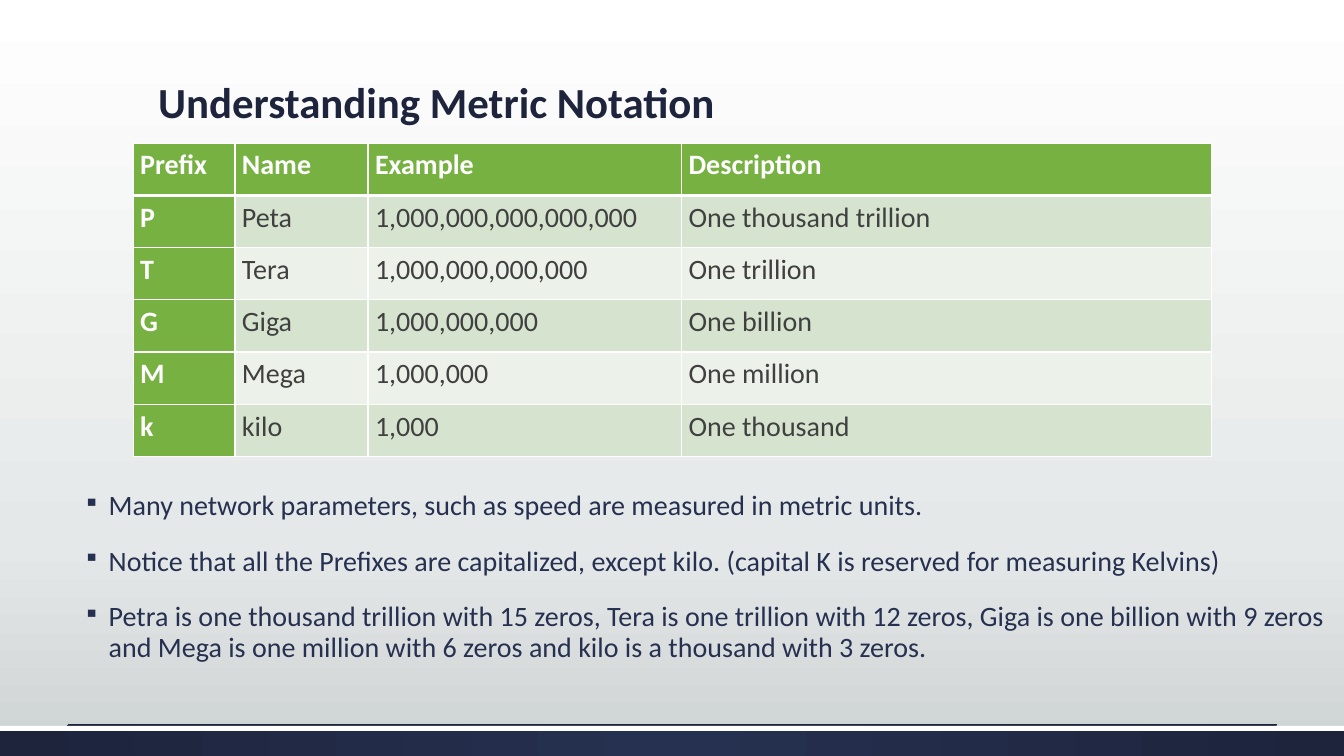
"""Build the metric notation slide."""
from dataclasses import dataclass

from lxml import etree
from pptx import Presentation
from pptx import util as u
from pptx.dml.color import RGBColor
from pptx.enum import shapes, text
from pptx.oxml.ns import qn


@dataclass(frozen=True)
class Theme:
    """Colours and type sizes."""

    font: str = "Calibri"
    title_size: float = 30.6
    text_size: float = 20
    navy: str = "263050"
    dark_navy: str = "1D243C"
    white: str = "FFFFFF"
    green: str = "77B142"
    bands: tuple = ("D6E4CF", "ECF2E9")
    grey: str = "404040"
    backdrop: tuple = ((0, "FFFFFF"), (72, "E5E8E8"), (100, "CDD2D2"))
    footer: tuple = ((0, "263050"), (100, "1D243C"))


def add_node(parent, tag, **attributes):
    """Append a drawing element with the given attributes."""
    return etree.SubElement(parent, qn(f"a:{tag}"), {k: str(v) for k, v in attributes.items()})


class SlideBuilder:
    """Draw styled elements on one slide."""

    def __init__(self, page, theme):
        """Keep the slide and its style."""
        self.page, self.theme = page, theme

    def gradient(self, fill, element, stops, radial=False):
        """Give a fill its gradient stops, downward or from the centre."""
        fill.gradient()
        gradient = element.find(".//" + qn("a:gradFill"))
        for child in list(gradient):
            gradient.remove(child)
        stop_list = add_node(gradient, "gsLst")
        for position, color in stops:
            add_node(add_node(stop_list, "gs", pos=position * 1000), "srgbClr", val=color)
        if radial:
            focus = add_node(gradient, "path", path="circle")
            add_node(focus, "fillToRect", l=50000, t=50000, r=50000, b=50000)
        else:
            add_node(gradient, "lin", ang=5400000, scaled=0)

    def background(self):
        """Shade the whole slide."""
        self.gradient(self.page.background.fill, self.page.element, self.theme.backdrop)

    def bar(self, place, color=None, stops=None):
        """Add a plain bar in one colour or a radial gradient."""
        box = self.page.shapes.add_shape(shapes.MSO_SHAPE.RECTANGLE, *map(u.Inches, place))
        box.shadow.inherit = False
        box.line.fill.background()
        if stops:
            self.gradient(box.fill, box._element.spPr, stops, radial=True)
        else:
            box.fill.solid()
            box.fill.fore_color.rgb = RGBColor.from_string(color)

    def rule(self, left, right, top):
        """Add a thin horizontal line."""
        ends = map(u.Inches, (left, top, right, top))
        line = self.page.shapes.add_connector(shapes.MSO_CONNECTOR.STRAIGHT, *ends)
        line.line.color.rgb = RGBColor.from_string(self.theme.dark_navy)
        line.line.width = u.Pt(0.75)
        add_node(line._element.spPr, "effectLst")

    def span(self, para, words, size, color, bold=False):
        """Add one run of text."""
        span = para.add_run()
        span.text = words
        span.font.name, span.font.size, span.font.bold = self.theme.font, u.Pt(size), bold
        span.font.color.rgb = RGBColor.from_string(color)

    def text_frame(self, place):
        """Add a wrapping text box and return its frame."""
        frame = self.page.shapes.add_textbox(*map(u.Inches, place)).text_frame
        frame.word_wrap = True
        return frame

    def title(self, place, words):
        """Add the slide title, raised from the foot of its box."""
        frame = self.text_frame(place)
        frame.vertical_anchor = text.MSO_ANCHOR.BOTTOM
        frame.margin_bottom = u.Inches(0.52)
        para = frame.paragraphs[0]
        para.line_spacing = 0.9
        self.span(para, words, self.theme.title_size, self.theme.dark_navy, bold=True)

    def bullets(self, place, lines):
        """Add a bulleted list."""
        frame = self.text_frame(place)
        for index, words in enumerate(lines):
            para = frame.add_paragraph() if index else frame.paragraphs[0]
            para.line_spacing, para.space_before = 0.9, u.Pt(18)
            properties = para._p.get_or_add_pPr()
            properties.set("marL", str(u.Inches(0.3)))
            properties.set("indent", str(u.Inches(-0.25)))
            add_node(add_node(properties, "buClr"), "srgbClr", val=self.theme.navy)
            add_node(properties, "buSzPct", val=80000)
            add_node(properties, "buChar", char="▪")
            self.span(para, words, self.theme.text_size, self.theme.navy)

    def cell(self, cell, words, fill, color, bold, top, bottom):
        """Style and fill one table cell."""
        cell.margin_left = cell.margin_right = u.Inches(0.07)
        cell.margin_top = cell.margin_bottom = 0
        properties = cell._tc.get_or_add_tcPr()
        for side, width in (("L", 1), ("R", 1), ("T", top), ("B", bottom)):
            border = add_node(properties, f"ln{side}", w=u.Pt(width))
            add_node(add_node(border, "solidFill"), "srgbClr", val=self.theme.white)
        cell.fill.solid()
        cell.fill.fore_color.rgb = RGBColor.from_string(fill)
        para = cell.text_frame.paragraphs[0]
        para.alignment = text.PP_ALIGN.JUSTIFY
        para.line_spacing, para.space_after = 1.15, u.Pt(10)
        self.span(para, words, self.theme.text_size, color, bold)

    def table(self, place, widths, rows):
        """Add a banded table with a strong first row and column."""
        theme = self.theme
        grid = self.page.shapes.add_table(len(rows), len(widths), *map(u.Inches, place)).table
        for column, width in zip(grid.columns, widths):
            column.width = u.Inches(width)
        for r, row in enumerate(rows):
            for c, words in enumerate(row):
                strong = r == 0 or c == 0
                self.cell(
                    grid.cell(r, c),
                    words,
                    fill=theme.green if strong else theme.bands[(r - 1) % 2],
                    color=theme.white if strong else theme.grey,
                    bold=strong,
                    top=3 if r == 1 else 1,
                    bottom=3 if r == 0 else 1,
                )


PREFIXES = (
    ("Prefix", "Name", "Example", "Description"),
    ("P", "Peta", "1,000,000,000,000,000", "One thousand trillion"),
    ("T", "Tera", "1,000,000,000,000", "One trillion"),
    ("G", "Giga", "1,000,000,000", "One billion"),
    ("M", "Mega", "1,000,000", "One million"),
    ("k", "kilo", "1,000", "One thousand"),
)
NOTES = (
    "Many network parameters, such as speed are measured in metric units.",
    "Notice that all the Prefixes are capitalized, except kilo. "
    "(capital K is reserved for measuring Kelvins)",
    "Petra is one thousand trillion with 15 zeros, Tera is one trillion with 12 zeros, "
    "Giga is one billion with 9 zeros and Mega is one million with 6 zeros "
    "and kilo is a thousand with 3 zeros.",
)


def main():
    """Build and save the deck."""
    deck = Presentation()
    deck.slide_width, deck.slide_height = u.Inches(13.33), u.Inches(7.5)
    theme = Theme()
    slide = SlideBuilder(deck.slides.add_slide(deck.slide_layouts[6]), theme)
    slide.background()
    slide.bar((0, 7.2, 13.33, 0.3), stops=theme.footer)
    slide.bar((0, 7.2, 13.33, 0.05), color=theme.white)
    slide.rule(0.67, 12.67, 7.19)
    slide.title((1.47, 0.44, 10.4, 1.35), "Understanding Metric Notation")
    slide.bullets((0.68, 4.83, 12.66, 2.3), NOTES)
    slide.table((1.32, 1.42, 10.7, 3.11), (1.01, 1.32, 3.11, 5.26), PREFIXES)
    deck.save("out.pptx")


if __name__ == "__main__":
    main()
